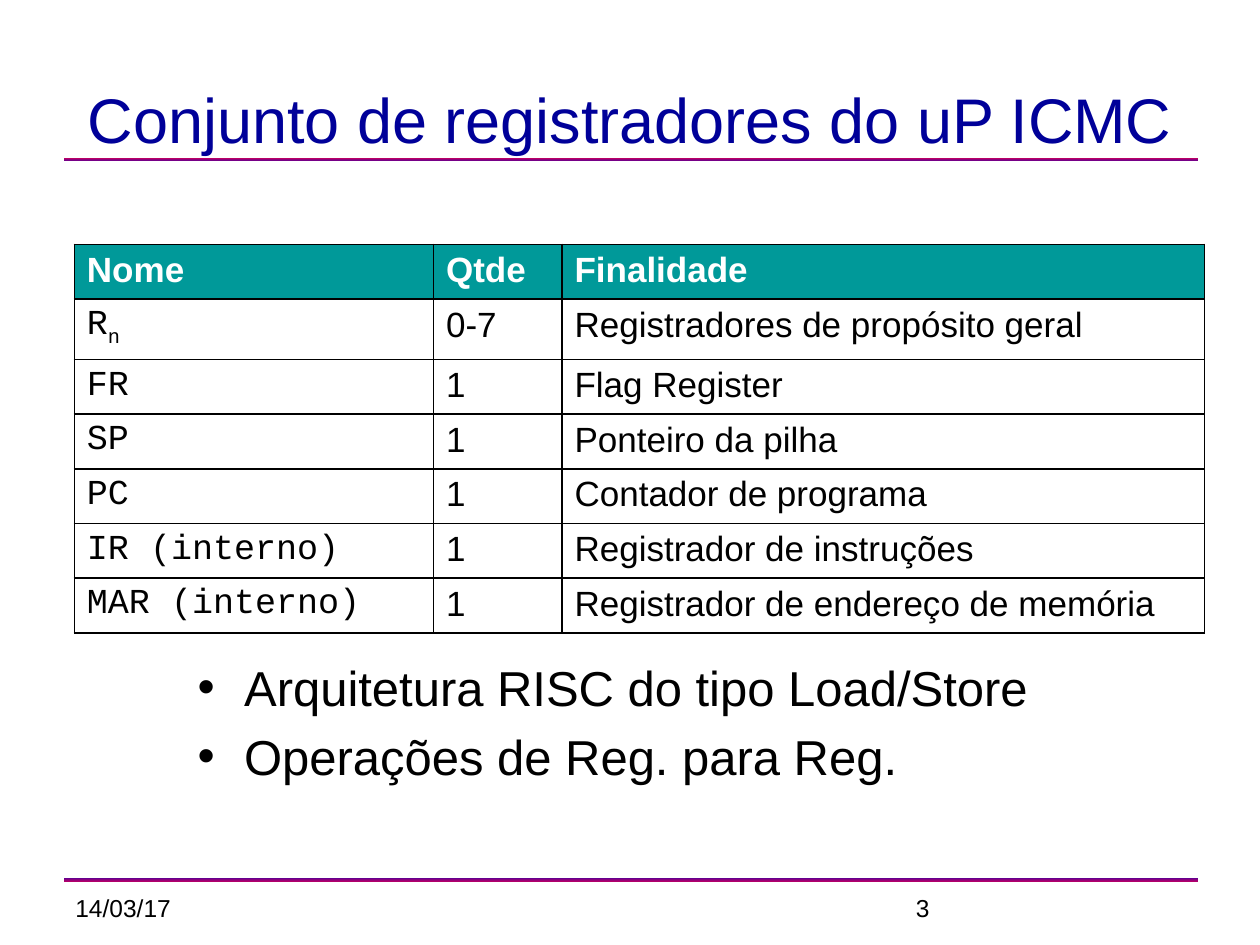
"""Build the slide on the register set of the uP ICMC."""
from lxml.etree import SubElement as Sub
from pptx import Presentation
from pptx.dml.color import RGBColor as RGB
from pptx.enum.shapes import MSO_SHAPE as Shape
from pptx.enum.text import MSO_ANCHOR as Anchor, MSO_AUTO_SIZE as Auto, PP_ALIGN as Align
from pptx.oxml.ns import qn
from pptx.util import Inches, Pt

HUES = {"title": "000099", "text": "000000", "head": "009999", "white": "FFFFFF",
        "plum": "66008F", "pink": "BA0066"}

deck = Presentation()
deck.slide_width, deck.slide_height = Inches(10), Inches(7.5)
COL, ROW = deck.slide_width / 100, deck.slide_height / 100
slide = deck.slides.add_slide(deck.slide_layouts[5])
shapes = slide.shapes


def area(x, y, w, h):
    return int(x * COL), int(y * ROW), int(w * COL), int(h * ROW)


def style(para, size, hue="text", face="Arial", bold=False):
    for run in para.runs:
        font = run.font
        font.size, font.name, font.bold = Pt(size), face, bold
        font.color.rgb = RGB.from_string(HUES[hue])


for top, hues in ((16.67, ("plum", "pink")), (92.93, ("pink", "plum"))):
    rule = shapes.add_shape(Shape.RECTANGLE, *area(5.1, top, 90, 0.4))
    rule.shadow.inherit = False
    rule.line.fill.background()
    rule.fill.gradient()
    rule.fill.gradient_angle = 90
    for stop, hue in zip(rule.fill.gradient_stops, hues):
        stop.color.rgb = RGB.from_string(HUES[hue])

for left, text in ((5, "14/03/17"), (71.7, "3")):
    foot = shapes.add_textbox(*area(left, 93.87, 23.3, 6.93)).text_frame
    foot.word_wrap = True
    foot.text = text
    style(foot.paragraphs[0], 14)

title = shapes.title
title.left, title.top, title.width, title.height = area(5.1, 6.67, 89.8, 10.53)
frame = title.text_frame
frame.text = "Conjunto de registradores do uP ICMC"
frame.auto_size, frame.vertical_anchor = Auto.NONE, Anchor.BOTTOM
frame.paragraphs[0].alignment = Align.CENTER
style(frame.paragraphs[0], 36, "title")

data = [
    ("Nome", "Qtde", "Finalidade"),
    ("R", "0-7", "Registradores de propósito geral"),
    ("FR", "1", "Flag Register"),
    ("SP", "1", "Ponteiro da pilha"),
    ("PC", "1", "Contador de programa"),
    ("IR (interno)", "1", "Registrador de instruções"),
    ("MAR (interno)", "1", "Registrador de endereço de memória"),
]
wide = (28.5, 10.2, 51)
high = [5.6, 6.27] + [5.73] * 5
table = shapes.add_table(len(data), len(wide),
                         *area(5.9, 25.87, sum(wide), sum(high))).table
table.first_row = table.horz_banding = False
for col, w in zip(table.columns, wide):
    col.width = int(w * COL)
for r, (row, h) in enumerate(zip(data, high)):
    table.rows[r].height = int(h * ROW)
    for c, text in enumerate(row):
        cell = table.cell(r, c)
        para = cell.text_frame.paragraphs[0]
        para.text = text
        if text == "R":
            sub = para.add_run()
            sub.text = "n"
            sub.font._element.set("baseline", "-25000")
        face = "Courier New" if r and c == 0 else "Arial"
        style(para, 20, "text" if r else "white", face, r == 0)
        props = cell._tc.get_or_add_tcPr()
        for side in ("lnL", "lnR", "lnT", "lnB"):
            line = Sub(props, qn("a:" + side), w=str(Pt(0.96)))
            Sub(Sub(line, qn("a:solidFill")), qn("a:srgbClr"), val=HUES["text"])
        if r:
            cell.fill.background()
        else:
            cell.fill.solid()
            cell.fill.fore_color.rgb = RGB.from_string(HUES["head"])

notes = ("Arquitetura RISC do tipo Load/Store", "Operações de Reg. para Reg.")
body = shapes.add_textbox(*area(14.6, 68.93, 70, 21.73)).text_frame
body.word_wrap = True
body.text = "\n".join(notes)
for para in body.paragraphs:
    para.space_before = Pt(5.6)
    style(para, 28)
    props = para._p.get_or_add_pPr()
    props.set("marL", str(Inches(0.38)))
    props.set("indent", str(Inches(-0.37)))
    Sub(Sub(props, qn("a:buClr")), qn("a:srgbClr"), val=HUES["text"])
    Sub(props, qn("a:buFont"), typeface="Arial")
    Sub(props, qn("a:buChar"), char="•")

deck.save("out.pptx")
